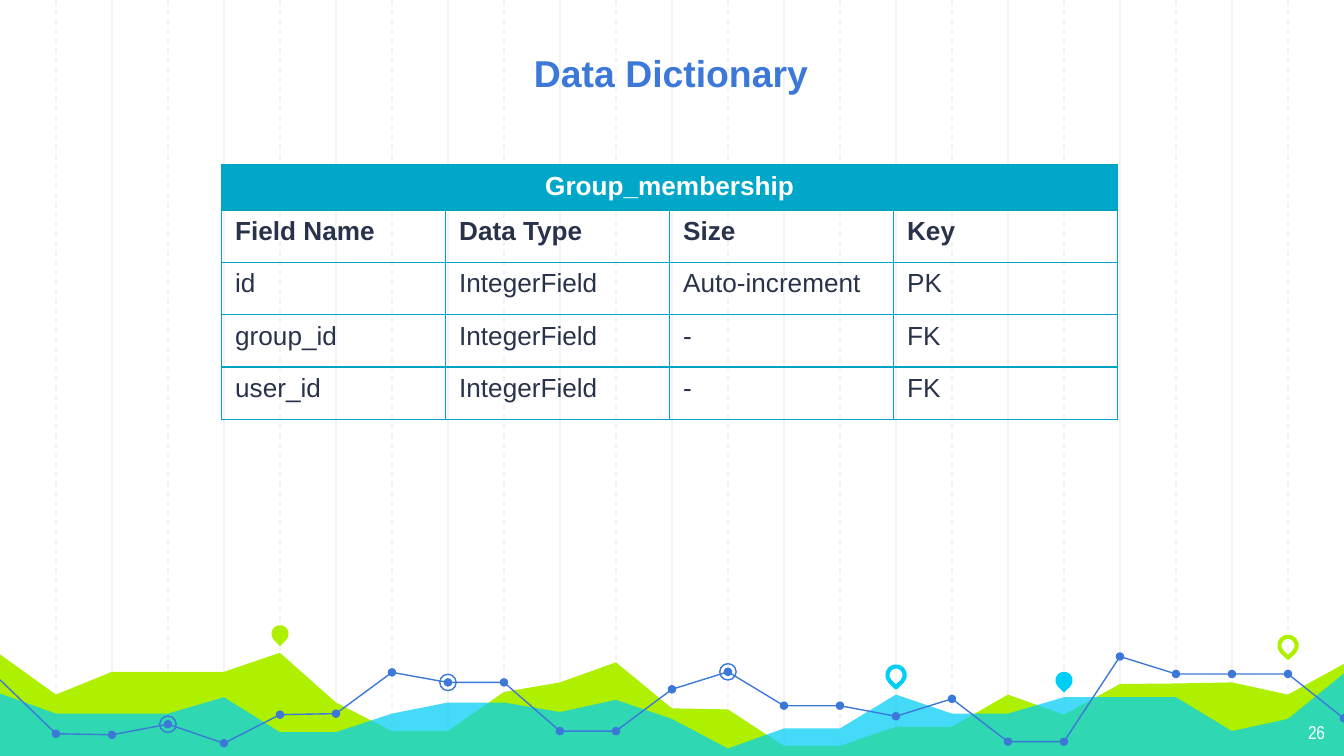
from dataclasses import dataclass

import lxml.etree
import pptx
import pptx.dml.color
import pptx.enum.dml
import pptx.enum.shapes
import pptx.enum.text
import pptx.oxml.ns
import pptx.util

Cm = pptx.util.Cm
Pt = pptx.util.Pt
Shapes = pptx.enum.shapes.MSO_SHAPE
Align = pptx.enum.text.PP_ALIGN
Anchor = pptx.enum.text.MSO_ANCHOR
qn = pptx.oxml.ns.qn


@dataclass(frozen=True)
class Theme:
    blue: str = "3C78D8"
    green: str = "AFF000"
    cyan: str = "00CEF6"
    grid: str = "F3F3F3"
    header: str = "00A7C8"
    border: str = "00A3C3"
    dark: str = "28324A"
    white: str = "FFFFFF"
    font: str = "Arial"
    number_font: str = "Arial Narrow"
    title_size: int = 20
    table_size: int = 14
    number_size: int = 10
    thin: float = 0.75
    thick: float = 2.25


THEME = Theme()
WIDTH, HEIGHT = 25.4, 14.29
BOTTOM = 14.33
STEP = WIDTH / 24

# Heights in cm, one for each grid column from the left edge to the right edge
GREEN_AREA = [12.37, 13.13, 12.7, 12.7, 12.7, 12.34, 13.28, 13.82, 13.82,
              13.08, 12.9, 12.52, 13.39, 13.41, 14.1, 14.1, 13.74, 13.74,
              13.13, 13.51, 12.93, 12.92, 12.9, 13.13, 12.55]
CYAN_AREA = [13.11, 13.49, 13.49, 13.49, 13.18, 13.84, 13.84, 13.49, 13.28,
             13.28, 13.46, 13.23, 13.59, 14.15, 13.77, 13.77, 13.13, 13.49,
             13.49, 13.18, 13.18, 13.18, 13.82, 13.59, 12.73]
BLUE_LINE = [12.85, 13.87, 13.89, 13.69, 14.05, 13.51, 13.49, 12.71, 12.9,
             12.9, 13.82, 13.82, 13.03, 12.7, 13.34, 13.34, 13.54, 13.21,
             14.02, 14.02, 12.41, 12.74, 12.74, 12.74, 13.58]
RINGED_COLUMNS = [3, 8, 13]
# Column, centre height, colour, filled
PINS = [(5, 11.98, THEME.green, True), (16, 12.76, THEME.cyan, False),
        (19, 12.86, THEME.cyan, True), (23, 12.2, THEME.green, False)]

TABLE_TITLE = "Group_membership"
TABLE_ROWS = [
    ["Field Name", "Data Type", "Size", "Key"],
    ["id", "IntegerField", "Auto-increment", "PK"],
    ["group_id", "IntegerField", "-", "FK"],
    ["user_id", "IntegerField", "-", "FK"],
]


def rgb(color):
    return pptx.dml.color.RGBColor.from_string(color)


def style_shape(shape, fill=None, line=None, width=THEME.thin):
    shape.shadow.inherit = False
    if fill:
        shape.fill.solid()
        shape.fill.fore_color.rgb = rgb(fill)
    else:
        shape.fill.background()
    if line:
        shape.line.color.rgb = rgb(line)
        shape.line.width = Pt(width)
    else:
        shape.line.fill.background()


def add_grid_line(slide, column):
    x = Cm(column * STEP)
    line = slide.shapes.add_connector(
        pptx.enum.shapes.MSO_CONNECTOR.STRAIGHT, x, 0, x, Cm(BOTTOM))
    line.line.color.rgb = rgb(THEME.grid)
    line.line.width = Pt(THEME.thin)
    if column % 2:
        line.line.dash_style = pptx.enum.dml.MSO_LINE.DASH
    lxml.etree.SubElement(line._element.spPr, qn("a:effectLst"))


def add_series(slide, heights, closed):
    """Join one point per grid column; a closed series runs down to the bottom."""
    points = [(Cm(i * STEP), Cm(y)) for i, y in enumerate(heights)]
    if closed:
        points += [(Cm(WIDTH), Cm(BOTTOM)), (0, Cm(BOTTOM))]
    builder = slide.shapes.build_freeform(*points[0])
    builder.add_line_segments(points[1:], close=closed)
    return builder.convert_to_shape()


def add_area(slide, heights, color, opacity=100):
    area = add_series(slide, heights, closed=True)
    style_shape(area, fill=color)
    if opacity < 100:
        color_element = area._element.spPr.find(".//" + qn("a:srgbClr"))
        alpha = lxml.etree.SubElement(color_element, qn("a:alpha"))
        alpha.set("val", str(opacity * 1000))


def add_marker(slide, kind, column, y, size, **style):
    """Centre a small shape on a grid column."""
    shape = slide.shapes.add_shape(
        kind, Cm(column * STEP - size / 2), Cm(y - size / 2), Cm(size), Cm(size))
    style_shape(shape, **style)
    return shape


def add_pin(slide, column, y, color, filled):
    style = {"fill": color} if filled else {"line": color, "width": THEME.thick}
    add_marker(slide, Shapes.TEAR, column, y, 0.33, **style).rotation = 135


def add_run(paragraph, text, size, color, bold=False, font=THEME.font):
    run = paragraph.add_run()
    run.text = text
    run.font.name = font
    run.font.size = Pt(size)
    run.font.bold = bold
    run.font.color.rgb = rgb(color)


def add_text(slide, box, text, align, anchor, **style):
    frame = slide.shapes.add_textbox(*map(Cm, box)).text_frame
    frame.word_wrap = True
    frame.vertical_anchor = anchor
    frame.margin_left = frame.margin_right = Cm(0.25)
    frame.margin_top = frame.margin_bottom = Cm(0.25)
    paragraph = frame.paragraphs[0]
    paragraph.alignment = align
    add_run(paragraph, text, **style)


def set_borders(cell):
    properties = cell._tc.get_or_add_tcPr()
    for index, side in enumerate(("a:lnL", "a:lnR", "a:lnT", "a:lnB")):
        line = lxml.etree.Element(qn(side), w=str(Pt(THEME.thin)))
        fill = lxml.etree.SubElement(line, qn("a:solidFill"))
        lxml.etree.SubElement(fill, qn("a:srgbClr"), val=THEME.border)
        properties.insert(index, line)


def add_table(slide):
    columns = len(TABLE_ROWS[0])
    column_width, title_height, row_height = 4 * STEP, 0.82, 0.99
    table = slide.shapes.add_table(
        len(TABLE_ROWS) + 1, columns, Cm(4.19), Cm(3.12),
        Cm(columns * column_width),
        Cm(title_height + len(TABLE_ROWS) * row_height)).table
    table.first_row = table.horz_banding = False
    for column in table.columns:
        column.width = Cm(column_width)
    for index, row in enumerate(table.rows):
        row.height = Cm(row_height if index else title_height)
    for cell in table.iter_cells():
        cell.fill.background()
        set_borders(cell)

    title = table.cell(0, 0)
    title.merge(table.cell(0, columns - 1))
    title.fill.solid()
    title.fill.fore_color.rgb = rgb(THEME.header)
    paragraph = title.text_frame.paragraphs[0]
    paragraph.alignment = Align.CENTER
    add_run(paragraph, TABLE_TITLE, THEME.table_size, THEME.white, bold=True)
    for r, values in enumerate(TABLE_ROWS, start=1):
        for c, value in enumerate(values):
            add_run(table.cell(r, c).text_frame.paragraphs[0], value,
                    THEME.table_size, THEME.dark, bold=r == 1)


def add_background(slide):
    for column in [*range(2, 24, 2), *range(1, 24, 2)]:
        add_grid_line(slide, column)
    add_area(slide, GREEN_AREA, THEME.green)
    add_area(slide, CYAN_AREA, THEME.cyan, opacity=73)
    for pin in PINS:
        add_pin(slide, *pin)
    style_shape(add_series(slide, BLUE_LINE, closed=False), line=THEME.blue)
    for column, y in enumerate(BLUE_LINE[1:], start=1):
        add_marker(slide, Shapes.OVAL, column, y, 0.16, fill=THEME.blue)
    for column in RINGED_COLUMNS:
        add_marker(slide, Shapes.OVAL, column, BLUE_LINE[column], 0.31, line=THEME.blue)


def main():
    presentation = pptx.Presentation()
    presentation.slide_width, presentation.slide_height = Cm(WIDTH), Cm(HEIGHT)
    slide = presentation.slides.add_slide(presentation.slide_layouts[6])
    add_background(slide)
    add_text(slide, (23.77, 13.41, 1.52, 0.89), "26", Align.RIGHT, Anchor.TOP,
             size=THEME.number_size, color=THEME.white, font=THEME.number_font)
    add_table(slide)
    add_text(slide, (2.97, 0.91, 19.43, 1.14), "Data Dictionary", Align.CENTER,
             Anchor.BOTTOM, size=THEME.title_size, color=THEME.blue, bold=True)
    presentation.save("out.pptx")


if __name__ == "__main__":
    main()
